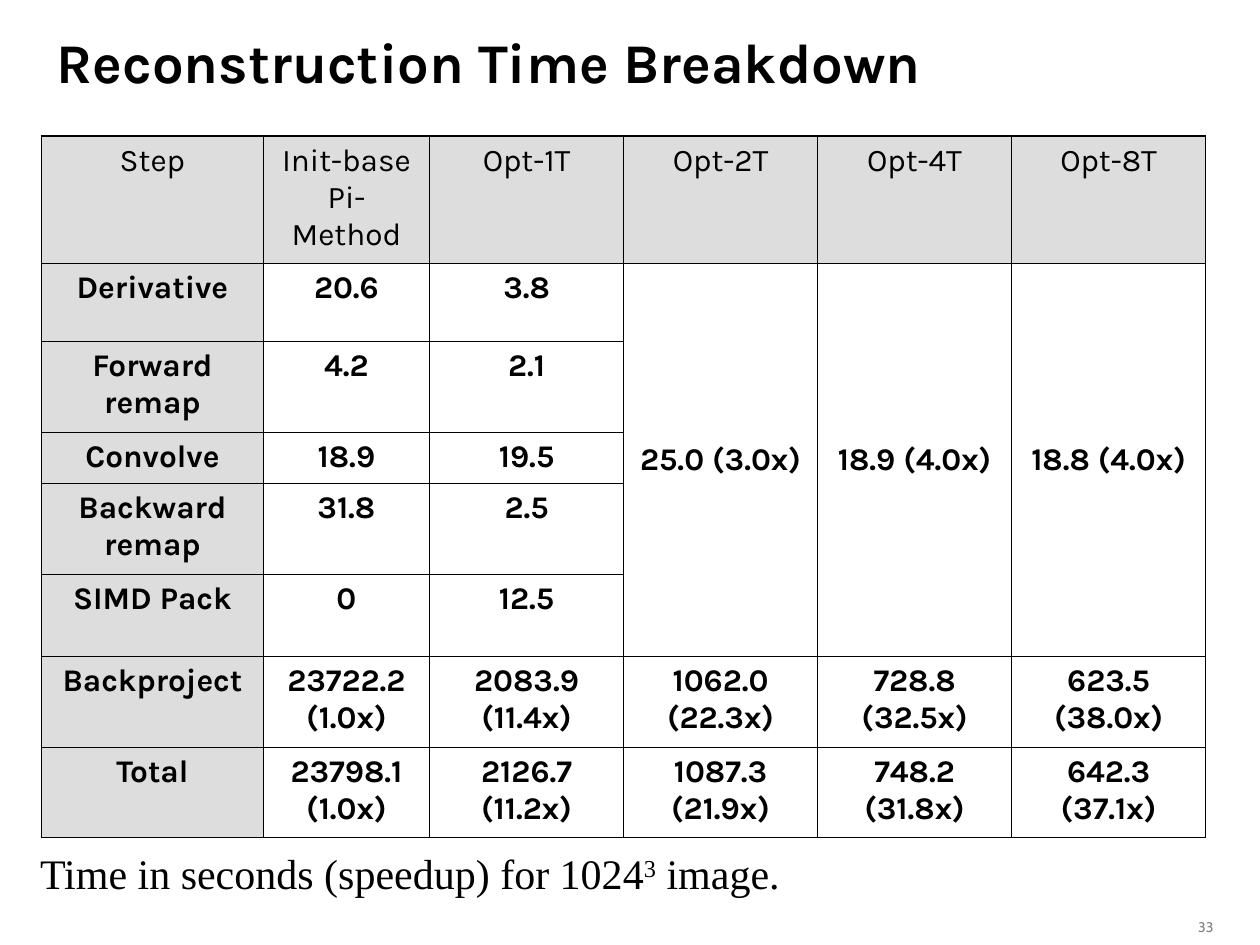
from lxml import etree
from pptx import Presentation, util as u
from pptx.dml.color import RGBColor
from pptx.enum import text
from pptx.oxml.ns import qn

MID, TOP = text.MSO_ANCHOR.MIDDLE, text.MSO_ANCHOR.TOP
LEFT, CENTER, RIGHT = text.PP_ALIGN.LEFT, text.PP_ALIGN.CENTER, text.PP_ALIGN.RIGHT


def write(tf, *runs, size=18, font="Karla", color="000000", bold=False,
          align=LEFT, before=0, anchor=TOP):
    """Fill a text frame with one paragraph; a run starting with ^ is superscript."""
    tf.word_wrap = True
    tf.vertical_anchor = anchor
    p = tf.paragraphs[0]
    p.alignment, p.space_before = align, u.Pt(before)
    for words in runs:
        r = p.add_run()
        r.text = words.lstrip("^")
        r.font.size, r.font.name, r.font.bold = u.Pt(size), font, bold
        r.font.color.rgb = RGBColor.from_string(color)
        if words.startswith("^"):
            r.font._element.set("baseline", "30000")


def set_borders(cell, **widths):
    """Draw black cell borders, given in points as L, R, T, B."""
    tcPr = cell._tc.get_or_add_tcPr()
    for i, (side, width) in enumerate(widths.items()):
        ln = etree.Element(qn(f"a:ln{side}"), w=str(u.Pt(width)))
        fill = etree.SubElement(ln, qn("a:solidFill"))
        etree.SubElement(fill, qn("a:srgbClr"), val="000000")
        tcPr.insert(i, ln)


prs = Presentation()
prs.slide_width, prs.slide_height = u.Inches(10), u.Inches(7.5)
s = prs.slides.add_slide(prs.slide_layouts[5])

# Title
title = s.shapes.title
title.left, title.top, title.width, title.height = map(u.Inches, (0.35, 0.07, 9.31, 0.83))
write(title.text_frame, "Reconstruction Time Breakdown", size=32, bold=True, anchor=MID)

# Timing table: None marks cells covered by a merge
rows = [
    ["Step", "Init-base Pi-Method", "Opt-1T", "Opt-2T", "Opt-4T", "Opt-8T"],
    ["Derivative", "20.6", "3.8", "25.0 (3.0x)", "18.9 (4.0x)", "18.8 (4.0x)"],
    ["Forward remap", "4.2", "2.1", None, None, None],
    ["Convolve", "18.9", "19.5", None, None, None],
    ["Backward remap", "31.8", "2.5", None, None, None],
    ["SIMD Pack", "0", "12.5", None, None, None],
    ["Backproject", "23722.2 (1.0x)", "2083.9 (11.4x)", "1062.0 (22.3x)",
     "728.8 (32.5x)", "623.5 (38.0x)"],
    ["Total", "23798.1 (1.0x)", "2126.7 (11.2x)", "1087.3 (21.9x)",
     "748.2 (31.8x)", "642.3 (37.1x)"],
]
col_widths = [1.76, 1.32] + [1.54] * 4
row_heights = [1.01, 0.62, 0.72, 0.41, 0.72, 0.65, 0.72, 0.72]
last_row, last_col = len(rows) - 1, len(col_widths) - 1
THIN, THICK = 0.45, 1.08

table = s.shapes.add_table(len(rows), len(col_widths), u.Inches(0.33), u.Inches(1.08),
                           u.Inches(sum(col_widths)), u.Inches(sum(row_heights))).table
table.first_row = table.horz_banding = False
for col, width in zip(table.columns, col_widths):
    col.width = u.Inches(width)
for row, height in zip(table.rows, row_heights):
    row.height = u.Inches(height)
for c in range(3, 6):
    table.cell(1, c).merge(table.cell(5, c))

for r, values in enumerate(rows):
    for c, value in enumerate(values):
        cell = table.cell(r, c)
        cell.fill.solid()
        cell.fill.fore_color.rgb = RGBColor.from_string(
            "DDDDDD" if r == 0 or c == 0 else "FFFFFF")
        set_borders(cell, L=THIN if c else THICK, R=THICK if c == last_col else THIN,
                    T=THIN if r else THICK, B=THICK if r == last_row else THIN)
        if value:
            write(cell.text_frame, value, bold=r > 0, align=CENTER, before=4.5)
            cell.vertical_anchor = MID if cell.is_merge_origin else TOP

# Caption
caption = s.shapes.add_textbox(*map(u.Inches, (0.22, 6.68, 8.83, 0.5)))
write(caption.text_frame, "Time in seconds (speedup) for 1024", "^3", " image.",
      size=24, font="Times New Roman", before=15)

# Slide number
number = s.shapes.add_textbox(*map(u.Inches, (9.07, 7.24, 0.66, 0.17)))
write(number.text_frame, "33", size=8, font="Cabin", color="808080", align=RIGHT)

prs.save("out.pptx")
